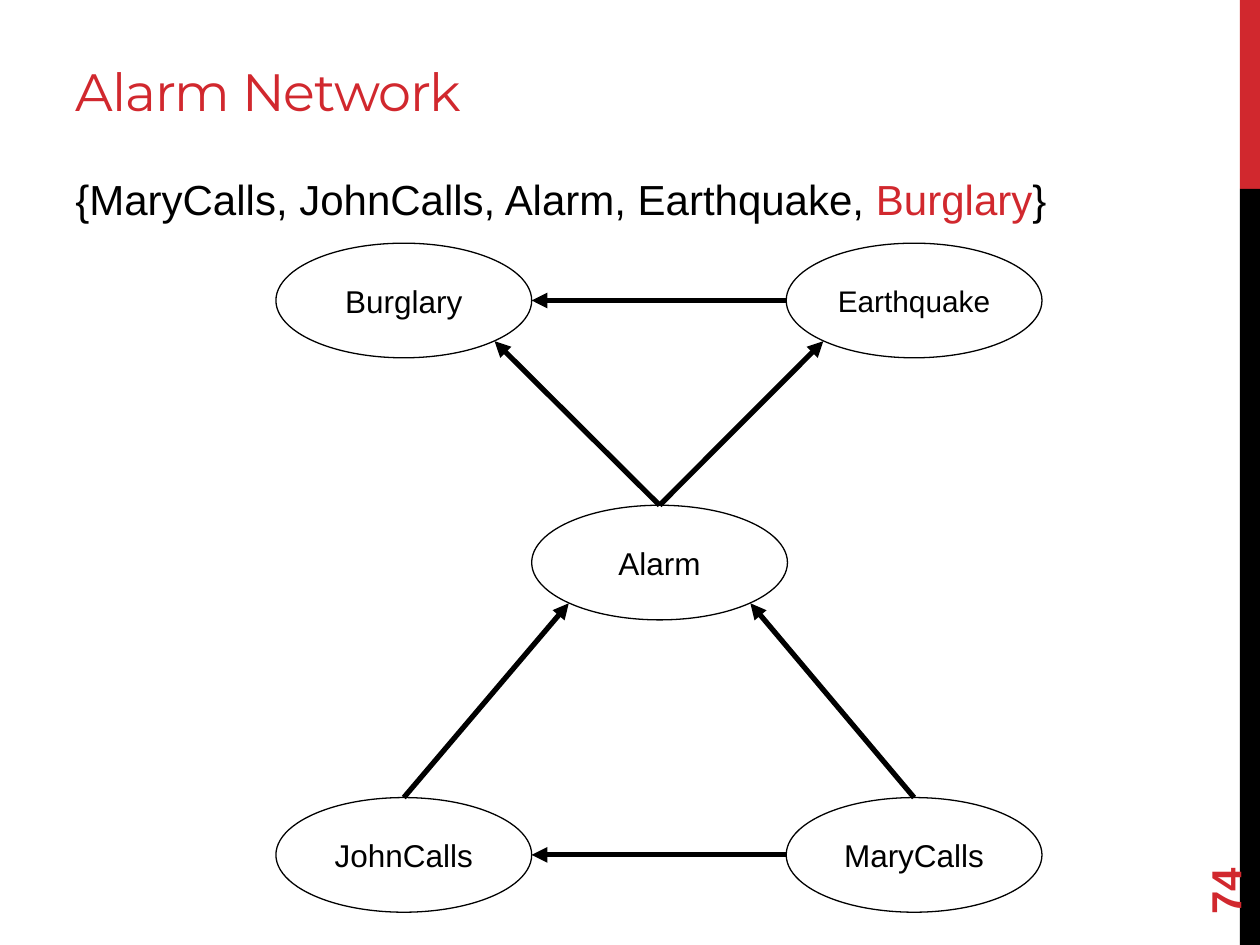
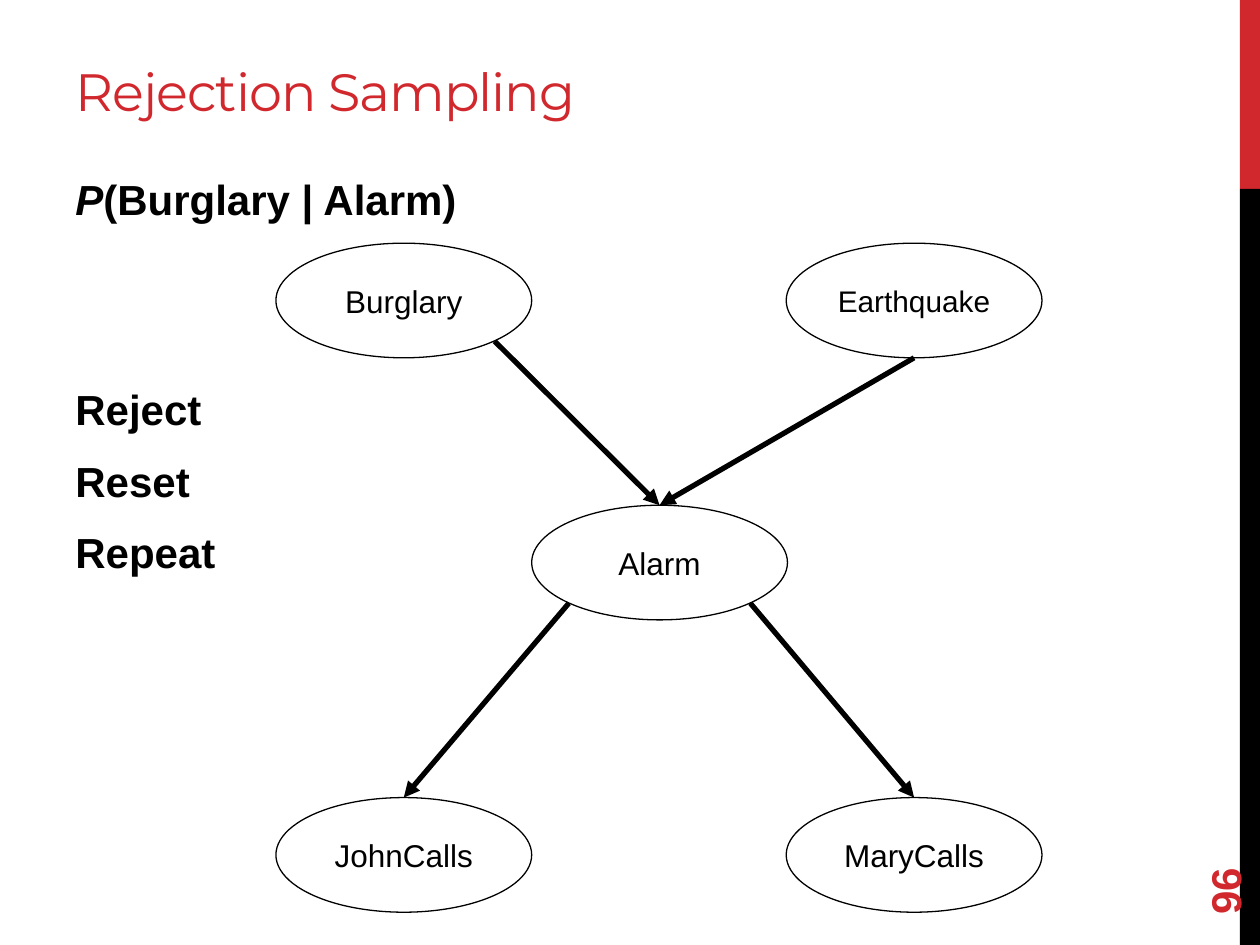
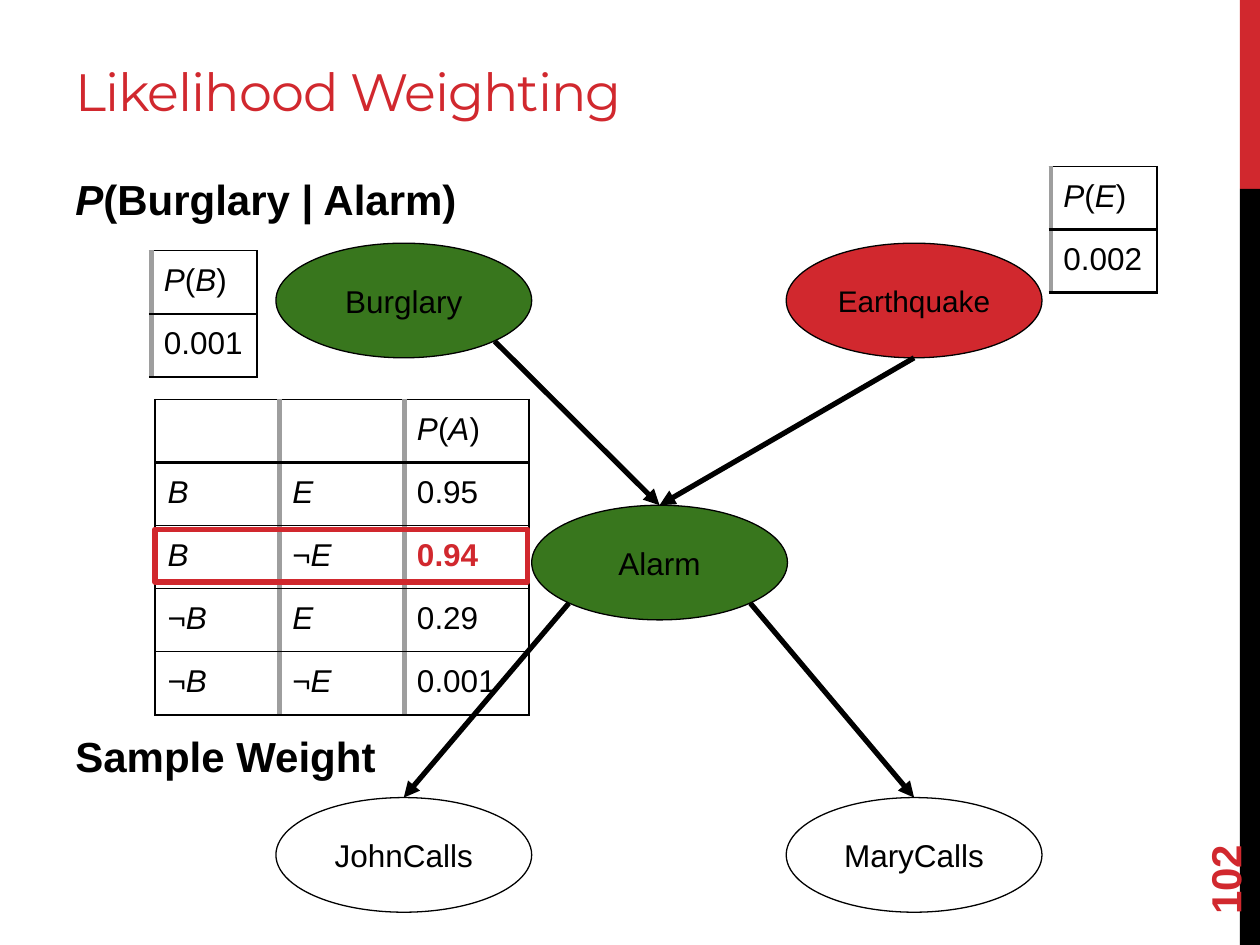
"""Build three slides on sampling in the alarm Bayesian network."""
from itertools import groupby

from lxml import etree
from pptx import Presentation
from pptx.dml.color import RGBColor
from pptx.enum.shapes import MSO_CONNECTOR, MSO_SHAPE
from pptx.enum.text import MSO_ANCHOR, MSO_AUTO_SIZE, PP_ALIGN
from pptx.oxml.ns import qn
from pptx.util import Inches, Pt

RECT, OVAL = MSO_SHAPE.RECTANGLE, MSO_SHAPE.OVAL
STRAIGHT = MSO_CONNECTOR.STRAIGHT
MIDDLE, BOTTOM = MSO_ANCHOR.MIDDLE, MSO_ANCHOR.BOTTOM
LEFT, CENTER = PP_ALIGN.LEFT, PP_ALIGN.CENTER
NO_FIT = MSO_AUTO_SIZE.NONE

RED, BLACK, GREEN, GREY = "D1282E", "000000", "38761D", "9E9E9E"
LINE_PITCH, PARAGRAPH_GAP = 39.6, 12

NODE_W, NODE_H = 2.03, 0.91
NODES = {
    "Burglary": (2.19, 1.93, 18),
    "Earthquake": (6.24, 1.93, 17),
    "Alarm": (4.22, 4.01, 18),
    "JohnCalls": (2.19, 6.33, 18),
    "MaryCalls": (6.24, 6.33, 18),
}
SITES = {
    "top": (0.5, 0), "left": (0, 0.5), "right": (1, 0.5), "bottom": (0.5, 1),
    "lower left": (0.145, 0.855), "lower right": (0.855, 0.855),
}
REVERSED_ARROWS = [
    ("MaryCalls", "left", "JohnCalls", "right"),
    ("JohnCalls", "top", "Alarm", "lower left"),
    ("MaryCalls", "top", "Alarm", "lower right"),
    ("Alarm", "top", "Earthquake", "lower left"),
    ("Alarm", "top", "Burglary", "lower right"),
    ("Earthquake", "left", "Burglary", "right"),
]
CAUSAL_ARROWS = [
    ("Alarm", "lower left", "JohnCalls", "top"),
    ("Alarm", "lower right", "MaryCalls", "top"),
    ("Burglary", "lower right", "Alarm", "top"),
    ("Earthquake", "bottom", "Alarm", "top"),
]
BOLD = {"bold": True}
QUERY = (0, [("P", {"bold": True, "italic": True}), ("(Burglary | Alarm)", BOLD)])

SLIDES = [
    {
        "title": "Alarm Network", "number": "74", "arrows": REVERSED_ARROWS,
        "body": [(0, [("{MaryCalls, JohnCalls, Alarm, Earthquake, ", {}),
                      ("Burglary", {"color": RED}), ("}", {})])],
    },
    {
        "title": "Rejection Sampling", "number": "96", "arrows": CAUSAL_ARROWS,
        "body": [QUERY, (2, [("Reject", BOLD)]), (0, [("Reset", BOLD)]),
                 (0, [("Repeat", BOLD)])],
    },
    {
        "title": "Likelihood Weighting", "number": "102", "arrows": CAUSAL_ARROWS,
        "body": [QUERY, (7, [("Sample Weight", BOLD)])],
        "fills": {"Burglary": GREEN, "Alarm": GREEN, "Earthquake": RED},
        "tables": [
            (1.23, 3.17, 0.99, [["", "", "P(A)"], ["B", "E", "0.95"],
                                ["B", "¬E", "0.94"], ["¬B", "E", "0.29"],
                                ["¬B", "¬E", "0.001"]]),
            (8.34, 1.32, 0.84, [["P(E)"], ["0.002"]]),
            (1.2, 1.99, 0.84, [["P(B)"], ["0.001"]]),
        ],
        "highlight": (1.23, 4.2, 2.96, 0.42), "marked": "0.94",
    },
]
ROW_H = 0.48

rgb = RGBColor.from_string


def write(p, text, size, color=BLACK, name="Arial", **fmt):
    """Add a formatted run to a paragraph and return it."""
    r = p.add_run()
    r.text = text
    r.font.color.rgb = rgb(color)
    for key, value in {"size": Pt(size), "name": name, **fmt}.items():
        setattr(r.font, key, value)
    return r


def add_box(s, kind, at, fill=None, line=None, width=0.75):
    """Add a preset shape without a shadow."""
    sp = s.shapes.add_shape(kind, *map(Inches, at))
    sp.shadow.inherit = False
    if fill:
        sp.fill.solid()
        sp.fill.fore_color.rgb = rgb(fill)
    else:
        sp.fill.background()
    if line:
        sp.line.color.rgb = rgb(line)
        sp.line.width = Pt(width)
    else:
        sp.line.fill.background()
    return sp


prs = Presentation()
prs.slide_width, prs.slide_height = Inches(10), Inches(7.5)

for page in SLIDES:
    s = prs.slides.add_slide(prs.slide_layouts[5])
    add_box(s, RECT, (9.84, 0, 0.16, 1.5), RED)
    add_box(s, RECT, (9.84, 1.5, 0.16, 6), BLACK)

    title = s.shapes.title
    title.left, title.top, title.width, title.height = map(Inches, (0.5, 0.17, 8.84, 0.85))
    tf = title.text_frame
    for key, value in {"vertical_anchor": BOTTOM, "auto_size": NO_FIT, "word_wrap": True}.items():
        setattr(tf, key, value)
    tf.paragraphs[0].alignment = LEFT
    r = write(tf.paragraphs[0], page["title"], 30, RED, "Montserrat")
    r.font.element.set("spc", "-60") if hasattr(r.font, "element") else r._r.get_or_add_rPr().set("spc", "-60")

    number = s.shapes.add_textbox(*map(Inches, (9, 6.44, 1.44, 0.4)))
    number.rotation = 270
    number.text_frame.word_wrap = True
    number.text_frame.vertical_anchor = MIDDLE
    write(number.text_frame.paragraphs[0], page["number"], 24, RED, bold=True)

    tf = s.shapes.add_textbox(*map(Inches, (0.5, 1.33, 8.84, 6.02))).text_frame
    tf.word_wrap = True
    for i, (skipped, runs) in enumerate(page["body"]):
        p = tf.add_paragraph() if i else tf.paragraphs[0]
        p.space_before = Pt(PARAGRAPH_GAP + skipped * LINE_PITCH if i else 0)
        for text, fmt in runs:
            write(p, text, 24, **fmt)

    for name, (x, y, size) in NODES.items():
        node = add_box(s, OVAL, (x, y, NODE_W, NODE_H), page.get("fills", {}).get(name), BLACK)
        tf = node.text_frame
        tf.word_wrap = False
        tf.vertical_anchor = MIDDLE
        tf.paragraphs[0].alignment = CENTER
        write(tf.paragraphs[0], name, size)

    for start, start_site, end, end_site in page["arrows"]:
        points = []
        for name, site in ((start, start_site), (end, end_site)):
            x, y, size = NODES[name]
            fx, fy = SITES[site]
            points += [Inches(x + fx * NODE_W), Inches(y + fy * NODE_H)]
        arrow = s.shapes.add_connector(STRAIGHT, *points)
        arrow.line.color.rgb = rgb(BLACK)
        arrow.line.width = Pt(3)
        spPr = arrow.element.spPr
        etree.SubElement(spPr.find(qn("a:ln")), qn("a:tailEnd"), type="triangle")
        etree.SubElement(spPr, qn("a:effectLst"))

    for x, y, col_w, rows in page.get("tables", []):
        n_rows, n_cols = len(rows), len(rows[0])
        table = s.shapes.add_table(n_rows, n_cols, *map(
            Inches, (x, y, col_w * n_cols, ROW_H * n_rows))).table
        table.first_row = table.horz_banding = False
        for column in table.columns:
            column.width = Inches(col_w)
        for i, row in enumerate(rows):
            table.rows[i].height = Inches(ROW_H)
            for j, text in enumerate(row):
                cell = table.cell(i, j)
                for side in ("left", "right", "top", "bottom"):
                    setattr(cell, f"margin_{side}", Inches(0.1))
                cell.fill.background()
                marked = text == page["marked"]
                for italic, chars in groupby(text, lambda c: c.isalpha() or c == "¬"):
                    write(cell.text_frame.paragraphs[0], "".join(chars), 18,
                          RED if marked else BLACK, bold=marked, italic=italic)
                borders = {
                    "a:lnL": (GREY, 3) if j or n_cols == 1 else (BLACK, 0.75),
                    "a:lnR": (GREY, 3) if j < n_cols - 1 else (BLACK, 1.5),
                    "a:lnT": (BLACK, 1.5 if i == 1 else 0.75),
                    "a:lnB": (BLACK, 1.5 if i in (0, n_rows - 1) else 0.75),
                }
                tcPr = cell._tc.get_or_add_tcPr()
                for k, (tag, (color, width)) in enumerate(borders.items()):
                    ln = etree.Element(qn(tag), w=str(Pt(width)))
                    fill = etree.SubElement(ln, qn("a:solidFill"))
                    etree.SubElement(fill, qn("a:srgbClr"), val=color)
                    tcPr.insert(k, ln)

    if "highlight" in page:
        add_box(s, RECT, page["highlight"], line=RED, width=3)

prs.save("out.pptx")
